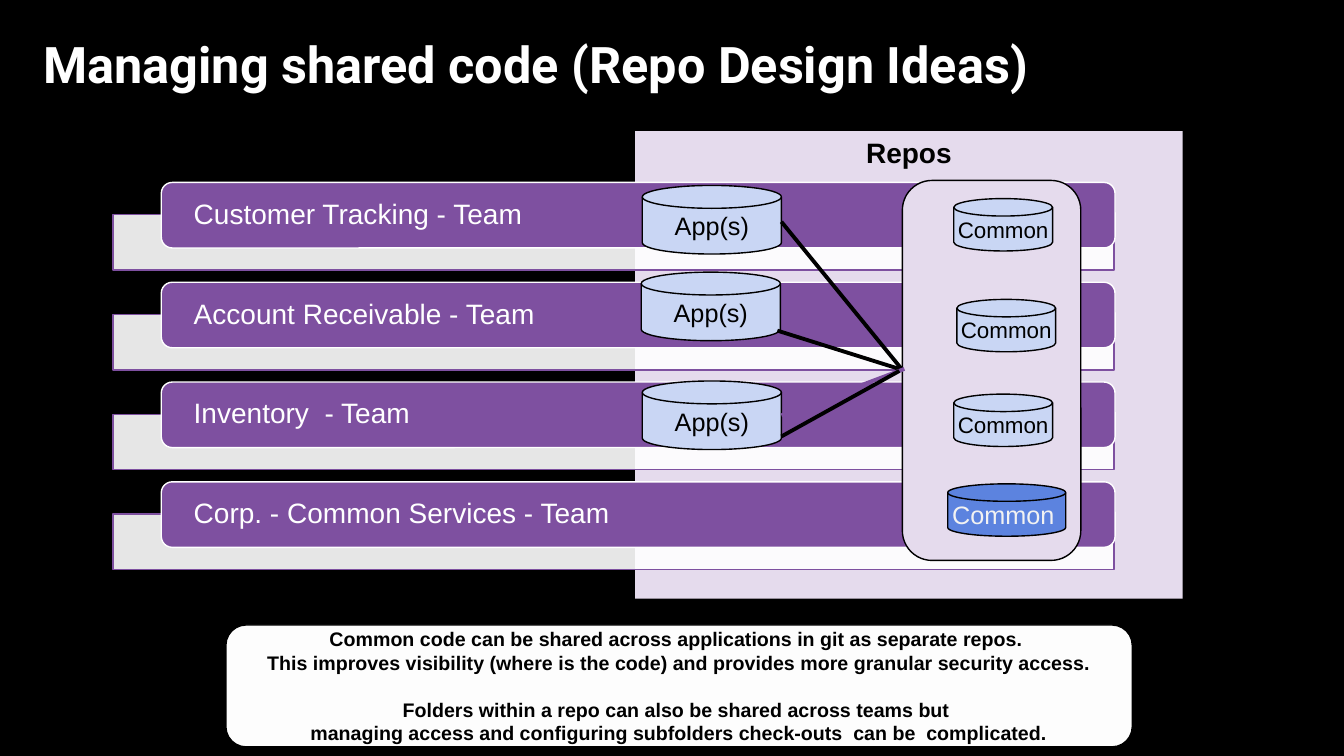
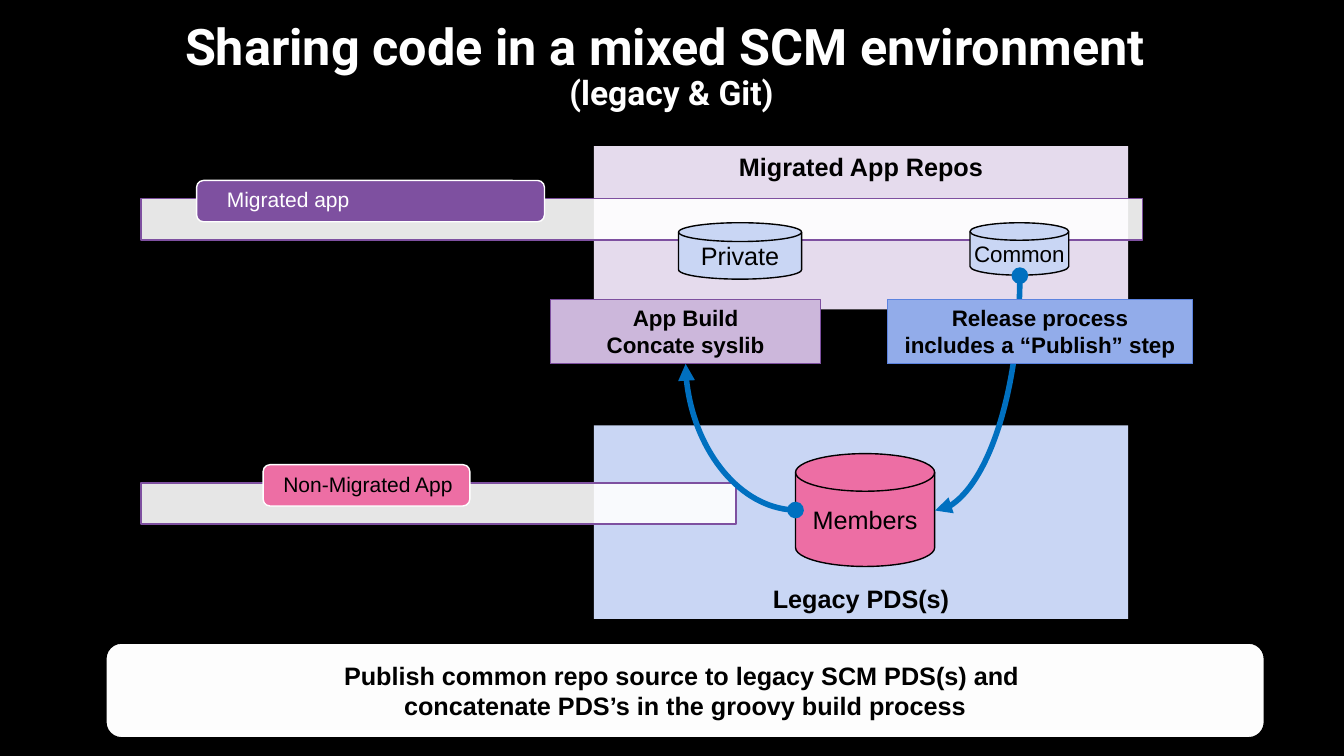
from lxml import etree
from pptx import Presentation
from pptx.dml.color import RGBColor
from pptx.enum.shapes import MSO_CONNECTOR, MSO_SHAPE
from pptx.enum.text import MSO_ANCHOR, MSO_AUTO_SIZE, PP_ALIGN
from pptx.oxml.ns import qn
from pptx.util import Inches, Pt

RECT, ROUND = MSO_SHAPE.RECTANGLE, MSO_SHAPE.ROUNDED_RECTANGLE
DISK = MSO_SHAPE.FLOWCHART_MAGNETIC_DISK
STRAIGHT, CURVE = MSO_CONNECTOR.STRAIGHT, MSO_CONNECTOR.CURVE
TOP, MIDDLE, BOTTOM = MSO_ANCHOR.TOP, MSO_ANCHOR.MIDDLE, MSO_ANCHOR.BOTTOM
LEFT, CENTER = PP_ALIGN.LEFT, PP_ALIGN.CENTER

BLACK = RGBColor(0x00, 0x00, 0x00)
WHITE = RGBColor(0xFF, 0xFF, 0xFF)
NEAR_WHITE = RGBColor(0xFD, 0xFD, 0xFD)
PALE_GREY = RGBColor(0xF2, 0xF2, 0xF2)
PURPLE = RGBColor(0x7E, 0x50, 0xA0)
LILAC = RGBColor(0xE5, 0xDB, 0xED)
MAUVE = RGBColor(0xCC, 0xB7, 0xDB)
PALE_BLUE = RGBColor(0xC9, 0xD6, 0xF4)
MID_BLUE = RGBColor(0x92, 0xAC, 0xEA)
BLUE = RGBColor(0x5C, 0x83, 0xDF)
FLOW_BLUE = RGBColor(0x00, 0x70, 0xC0)
PINK = RGBColor(0xED, 0x6E, 0xA4)

BODY_FONT, TITLE_FONT = "Arial", "Roboto"
TITLE_BOX = (0.33, 0.2, 12.56, 0.94)

TEAMS = [
    "Customer Tracking - Team",
    "Account Receivable - Team",
    "Inventory  - Team",
    "Corp. - Common Services - Team",
]
TEAM_TOP, TEAM_PITCH = 1.81, 0.99
APP_REPOS = [(6.37, 1.84), (6.36, 2.7), (6.37, 3.78)]
COMMON_REPOS = [(9.46, 1.97), (9.49, 2.97), (9.46, 3.91)]
SHARING_LINKS = [
    ((7.75, 2.2), (8.95, 3.67), BLACK),
    ((7.71, 3.28), (8.95, 3.67), BLACK),
    ((8.97, 3.66), (7.75, 4.12), PURPLE),
    ((7.75, 4.33), (8.92, 3.68), BLACK),
]
REPO_ADVICE = [
    "Common code can be shared across applications in git as separate repos. ",
    "This improves visibility (where is the code) and provides more granular security access.",
    "Folders within a repo can also be shared across teams but ",
    "managing access and configuring subfolders check-outs  can be  complicated.",
]
ADVICE_BREAK = 2

PUBLISH_ADVICE = [
    "Publish common repo source to legacy SCM PDS(s) and ",
    "concatenate PDS’s in the groovy build process",
]
FLOWS = [((8.53, 3.48, 2.33, 0.84), 90), ((6.8, 3.61, 1.09, 1.45), 180)]
STEPS = [
    ((5.46, 2.97, 2.68, 0.64), ["App Build", "Concate syslib"], MAUVE, PURPLE),
    ((8.8, 2.97, 3.03, 0.64), ["Release process", "includes a “Publish” step"], MID_BLUE, BLUE),
]


def add_run(paragraph, text, size, color, bold=False, font=BODY_FONT):
    run = paragraph.add_run()
    run.text = text
    run.font.name, run.font.size, run.font.bold = font, Pt(size), bold
    run.font.color.rgb = color


def add_block(slide, kind, box, fill, line=None, width=1):
    block = slide.shapes.add_shape(kind, *map(Inches, box))
    block.shadow.inherit = False
    block.fill.solid()
    block.fill.fore_color.rgb = fill
    if line is None:
        block.line.fill.background()
    else:
        block.line.color.rgb = line
        block.line.width = Pt(width)
    return block


def write(block, lines, size, color=BLACK, bold=False, anchor=MIDDLE, align=CENTER, wrap=False):
    frame = block.text_frame
    frame.word_wrap = wrap
    frame.vertical_anchor = anchor
    for index, line in enumerate(lines):
        paragraph = frame.paragraphs[0] if index == 0 else frame.add_paragraph()
        paragraph.alignment = align
        add_run(paragraph, line, size, color, bold)
    return frame


def add_panel(slide, box, heading, size, fill, anchor=TOP):
    write(add_block(slide, RECT, box, fill), [heading], size, bold=True, anchor=anchor, wrap=True)


def add_disk(slide, box, label, size, fill=PALE_BLUE, color=BLACK):
    write(add_block(slide, DISK, box, fill, BLACK), [label], size, color)


def add_common_repo(slide, left, top):
    add_disk(slide, (left, top, 0.98, 0.52), "Common", 16)


def add_callout(slide, box, lines, size):
    return write(add_block(slide, ROUND, box, NEAR_WHITE, BLACK), lines, size, bold=True)


def add_lane(slide, shelf_box, bar_box, label, size, inset, fill=PURPLE, color=WHITE):
    shelf = add_block(slide, RECT, shelf_box, WHITE, PURPLE)
    tint = shelf.element.spPr.find(qn("a:solidFill")).find(qn("a:srgbClr"))
    etree.SubElement(tint, qn("a:alpha")).set("val", "90000")
    bar = add_block(slide, ROUND, bar_box, fill, WHITE)
    frame = write(bar, [label], size, color, align=LEFT, wrap=True)
    frame.margin_left = Inches(inset)
    frame.margin_right = frame.margin_top = frame.margin_bottom = 0
    frame.paragraphs[0].line_spacing = 0.9


def add_link(slide, kind, start, end, color, width):
    link = slide.shapes.add_connector(kind, *map(Inches, (*start, *end)))
    link.line.color.rgb = color
    link.line.width = Pt(width)
    etree.SubElement(link.element.spPr, qn("a:effectLst"))
    return link


def add_flow(slide, box, angle):
    left, top, width, height = box
    flow = add_link(slide, CURVE, (left, top), (left + width, top + height), FLOW_BLUE, 4)
    properties = flow.element.spPr
    properties.find(qn("a:xfrm")).set("rot", str(angle * 60000))
    properties.find(qn("a:prstGeom")).set("prst", "curvedConnector2")
    outline = properties.find(qn("a:ln"))
    for tag, tip in (("a:headEnd", "oval"), ("a:tailEnd", "triangle")):
        etree.SubElement(outline, qn(tag)).set("type", tip)


def style_template(prs):
    prs.slide_width, prs.slide_height = Inches(13.33), Inches(7.5)
    backdrop = prs.slide_master.background.fill
    backdrop.solid()
    backdrop.fore_color.rgb = BLACK
    layout = prs.slide_layouts.get_by_name("Title Only")
    title = layout.placeholders[0]
    title.left, title.top, title.width, title.height = map(Inches, TITLE_BOX)
    frame = title.text_frame
    frame.margin_left = Inches(0.1)
    frame.margin_right = frame.margin_top = frame.margin_bottom = 0
    frame.vertical_anchor = MIDDLE
    frame.word_wrap = True
    frame.auto_size = MSO_AUTO_SIZE.NONE
    return layout


def add_titled_slide(prs, layout, title, subtitle=None):
    slide = prs.slides.add_slide(layout)
    paragraph = slide.shapes.title.text_frame.paragraphs[0]
    paragraph.line_spacing = 0.9
    paragraph.alignment = CENTER if subtitle else LEFT
    add_run(paragraph, title, 36, WHITE, True, TITLE_FONT)
    if subtitle:
        paragraph.add_line_break()
        add_run(paragraph, subtitle, 24, WHITE, True, TITLE_FONT)
    return slide


def build_repo_design(prs, layout):
    slide = add_titled_slide(prs, layout, "Managing shared code (Repo Design Ideas)")
    add_panel(slide, (6.3, 1.3, 5.43, 4.64), "Repos", 20, LILAC)
    for row, team in enumerate(TEAMS):
        top = TEAM_TOP + row * TEAM_PITCH
        add_lane(slide, (1.12, top + 0.32, 9.93, 0.55), (1.6, top, 9.46, 0.65), team, 20, 0.29)
    add_block(slide, ROUND, (8.95, 1.79, 1.77, 3.77), LILAC, BLACK)
    for left, top in APP_REPOS:
        add_disk(slide, (left, top, 1.38, 0.68), "App(s)", 18)
    for left, top in COMMON_REPOS:
        add_common_repo(slide, left, top)
    add_disk(slide, (9.4, 4.8, 1.17, 0.52), "Common ", 18, BLUE, PALE_GREY)
    advice = add_callout(slide, (2.24, 6.2, 8.99, 1.21), REPO_ADVICE, 14)
    advice.paragraphs[ADVICE_BREAK].space_before = Pt(16.8)
    for start, end, color in SHARING_LINKS:
        add_link(slide, STRAIGHT, start, end, color, 2.75)


def build_mixed_scm(prs, layout):
    slide = add_titled_slide(prs, layout, "Sharing code in a mixed SCM environment ", "(legacy & Git)")
    add_panel(slide, (5.89, 1.45, 5.3, 1.62), "Migrated App Repos", 18, LILAC)
    add_lane(slide, (1.4, 1.97, 9.93, 0.41), (1.95, 1.79, 3.45, 0.41), "Migrated app", 15, 0.28)
    add_callout(slide, (1.05, 6.38, 11.49, 0.94), PUBLISH_ADVICE, 18)
    add_common_repo(slide, 9.62, 2.21)
    add_disk(slide, (6.73, 2.21, 1.22, 0.56), "Private", 18)
    add_panel(slide, (5.89, 4.22, 5.3, 1.92), "Legacy PDS(s)", 18, PALE_BLUE, BOTTOM)
    add_lane(slide, (1.4, 4.79, 5.9, 0.41), (2.61, 4.61, 2.05, 0.41),
             "Non-Migrated App", 15, 0.18, PINK, BLACK)
    add_disk(slide, (7.89, 4.5, 1.38, 1.12), "Members", 18, PINK)
    for box, angle in FLOWS:
        add_flow(slide, box, angle)
    for box, lines, fill, edge in STEPS:
        step = add_block(slide, RECT, box, fill, edge, 0.75)
        write(step, lines, 16, bold=True, anchor=TOP, wrap=True)


def main():
    prs = Presentation()
    layout = style_template(prs)
    build_repo_design(prs, layout)
    build_mixed_scm(prs, layout)
    prs.save("out.pptx")


if __name__ == "__main__":
    main()
